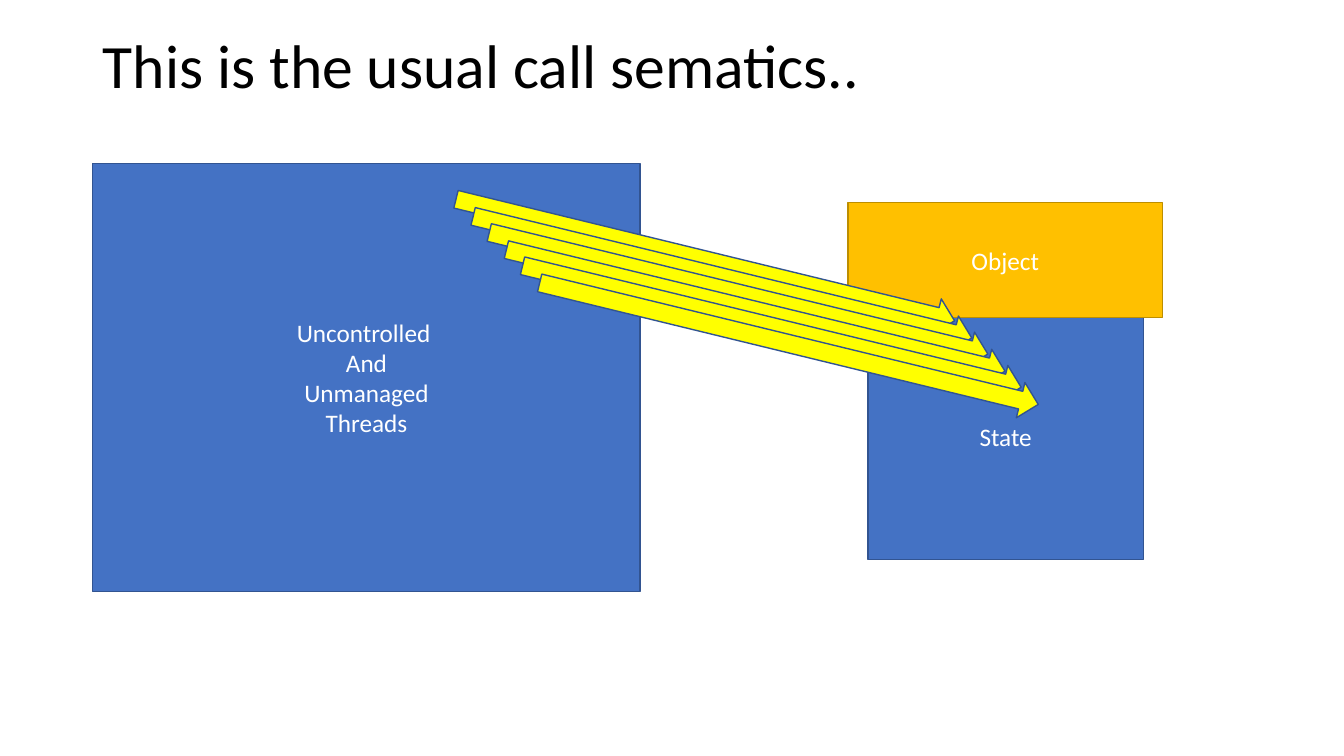
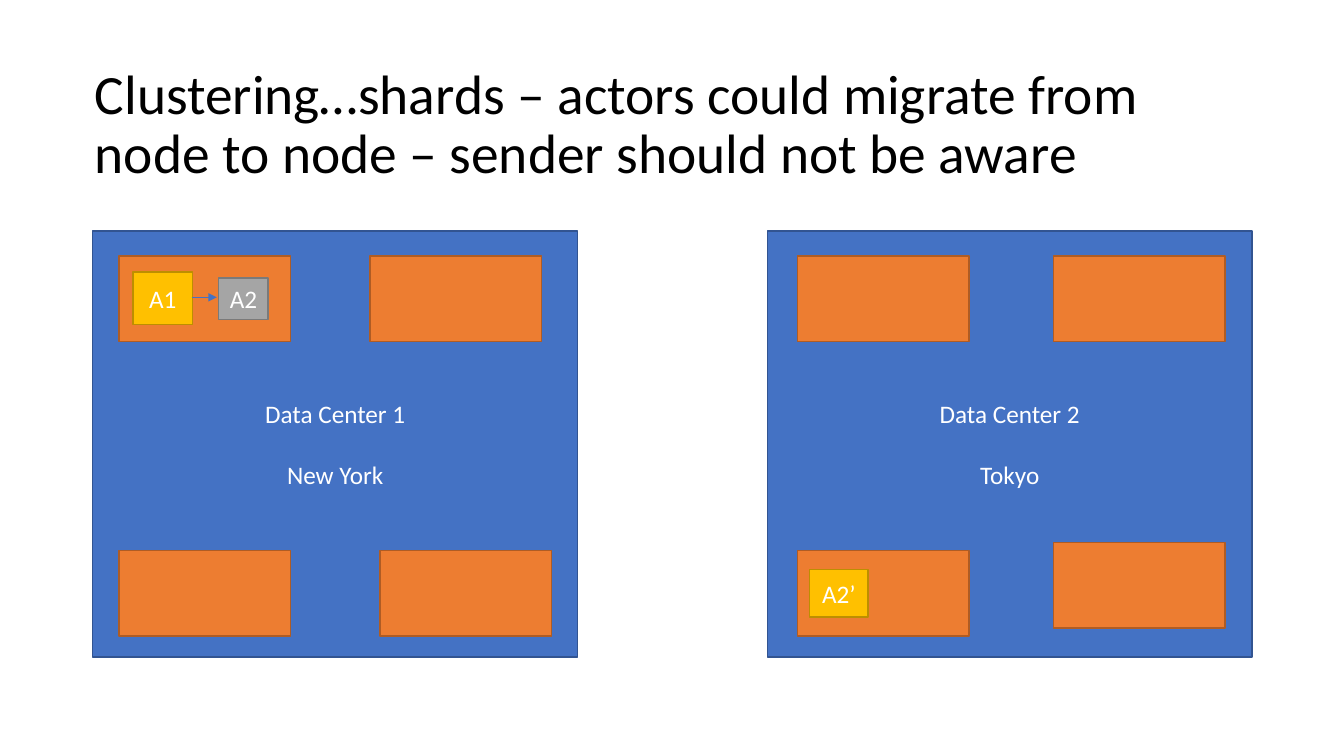
from lxml import etree
from pptx import Presentation
from pptx.dml.color import RGBColor
from pptx.enum.shapes import MSO_CONNECTOR, MSO_SHAPE
from pptx.enum.text import MSO_ANCHOR, MSO_AUTO_SIZE, PP_ALIGN
from pptx.oxml.ns import qn
from pptx.util import Emu, Pt

RECTANGLE = MSO_SHAPE.RECTANGLE
RIGHT_ARROW = MSO_SHAPE.RIGHT_ARROW
STRAIGHT = MSO_CONNECTOR.STRAIGHT
MIDDLE = MSO_ANCHOR.MIDDLE
NO_FIT = MSO_AUTO_SIZE.NONE
LEFT, CENTER = PP_ALIGN.LEFT, PP_ALIGN.CENTER

EMU_PER_PX = 9144  # 100 px to the inch
TITLE_ONLY = 5
FONT = "Calibri"
COLORS = {
    "black": "000000", "white": "FFFFFF",
    "blue": "4472C4", "blue_line": "325491",
    "gold": "FFC000", "gold_line": "BD8E00",
    "orange": "ED7D31", "orange_line": "AF5C24",
    "gray": "A5A5A5", "gray_line": "7A7A7A",
    "yellow": "FFFF00",
}


def px(length):
    return Emu(length * EMU_PER_PX)


def color(name):
    return RGBColor.from_string(COLORS[name])


class Deck:
    """Holds the style and the current slide."""

    def __init__(self):
        self.presentation = Presentation()
        self.presentation.slide_width = px(1333)
        self.presentation.slide_height = px(750)
        self.slide = None

    def set_font(self, paragraph, size, color_name):
        paragraph.font.name = FONT
        paragraph.font.size = Pt(size)
        paragraph.font.color.rgb = color(color_name)

    def add_slide(self, title, left, top, width, height, size):
        layout = self.presentation.slide_layouts[TITLE_ONLY]
        self.slide = self.presentation.slides.add_slide(layout)
        shape = self.slide.shapes.title
        shape.left, shape.top = px(left), px(top)
        shape.width, shape.height = px(width), px(height)
        frame = shape.text_frame
        frame.text = title
        frame.auto_size = NO_FIT
        frame.vertical_anchor = MIDDLE
        paragraph = frame.paragraphs[0]
        paragraph.alignment = LEFT
        paragraph.line_spacing = 0.9
        self.set_font(paragraph, size, "black")

    def add_block(self, left, top, width, height, fill, lines=(), gap=0,
                  kind=RECTANGLE, line=None):
        shape = self.slide.shapes.add_shape(
            kind, px(left), px(top), px(width), px(height))
        shape.shadow.inherit = False
        shape.fill.solid()
        shape.fill.fore_color.rgb = color(fill)
        shape.line.color.rgb = color(line or f"{fill}_line")
        shape.line.width = Pt(1)
        if lines:
            frame = shape.text_frame
            frame.text = "\n".join(lines)
            frame.vertical_anchor = MIDDLE
            for index, paragraph in enumerate(frame.paragraphs):
                paragraph.alignment = CENTER
                paragraph.space_before = Pt(gap if index else 0)
                self.set_font(paragraph, 18, "white")
        return shape

    def add_call_arrow(self, left, top):
        arrow = self.add_block(left, top, 509, 36, "yellow",
                               kind=RIGHT_ARROW, line="blue_line")
        arrow.rotation = 13.7

    def add_link(self, start_x, start_y, end_x, end_y):
        link = self.slide.shapes.add_connector(
            STRAIGHT, px(start_x), px(start_y), px(end_x), px(end_y))
        link.line.color.rgb = color("blue")
        link.line.width = Pt(0.5)
        line = link.line._get_or_add_ln()
        etree.SubElement(line, qn("a:tailEnd"), type="triangle")
        etree.SubElement(link._element.spPr, qn("a:effectLst"))


def build_call_semantics(deck):
    deck.add_slide("This is the usual call sematics..", 92, 21, 1150, 95, 44)

    # Called object with its state, and the calling threads
    deck.add_block(861, 311, 273, 244, "blue", ["State"])
    deck.add_block(841, 201, 312, 114, "gold", ["Object"])
    deck.add_block(92, 162, 543, 425, "blue",
                   ["Uncontrolled ", "And", "Unmanaged", "Threads"])

    # Calls reaching through to the state
    for index in range(6):
        offset = round(index * 16.6)
        deck.add_call_arrow(445 + offset, 240 + offset)


def build_clustering(deck):
    deck.add_slide("Clustering…shards – actors could migrate from node to node "
                   "– sender should not be aware", 84, 91, 1150, 68, 39.6)

    # Data centers
    centers = [(92, "Data Center 1", "New York"), (761, "Data Center 2", "Tokyo")]
    for left, name, city in centers:
        deck.add_block(left, 229, 481, 423, "blue", [name, city], gap=22)

    # Nodes
    nodes = [(118, 254), (367, 254), (118, 546), (377, 546),
             (791, 254), (1045, 254), (791, 546), (1045, 538)]
    for left, top in nodes:
        deck.add_block(left, top, 170, 85, "orange")

    # Actors and the message between them
    deck.add_block(132, 270, 59, 52, "gold", ["A1"])
    deck.add_block(803, 565, 58, 47, "gold", ["A2’"])
    deck.add_block(217, 276, 49, 41, "gray", ["A2"])
    deck.add_link(190, 295, 215, 295)


def main():
    deck = Deck()
    build_call_semantics(deck)
    build_clustering(deck)
    deck.presentation.save("out.pptx")


if __name__ == "__main__":
    main()
